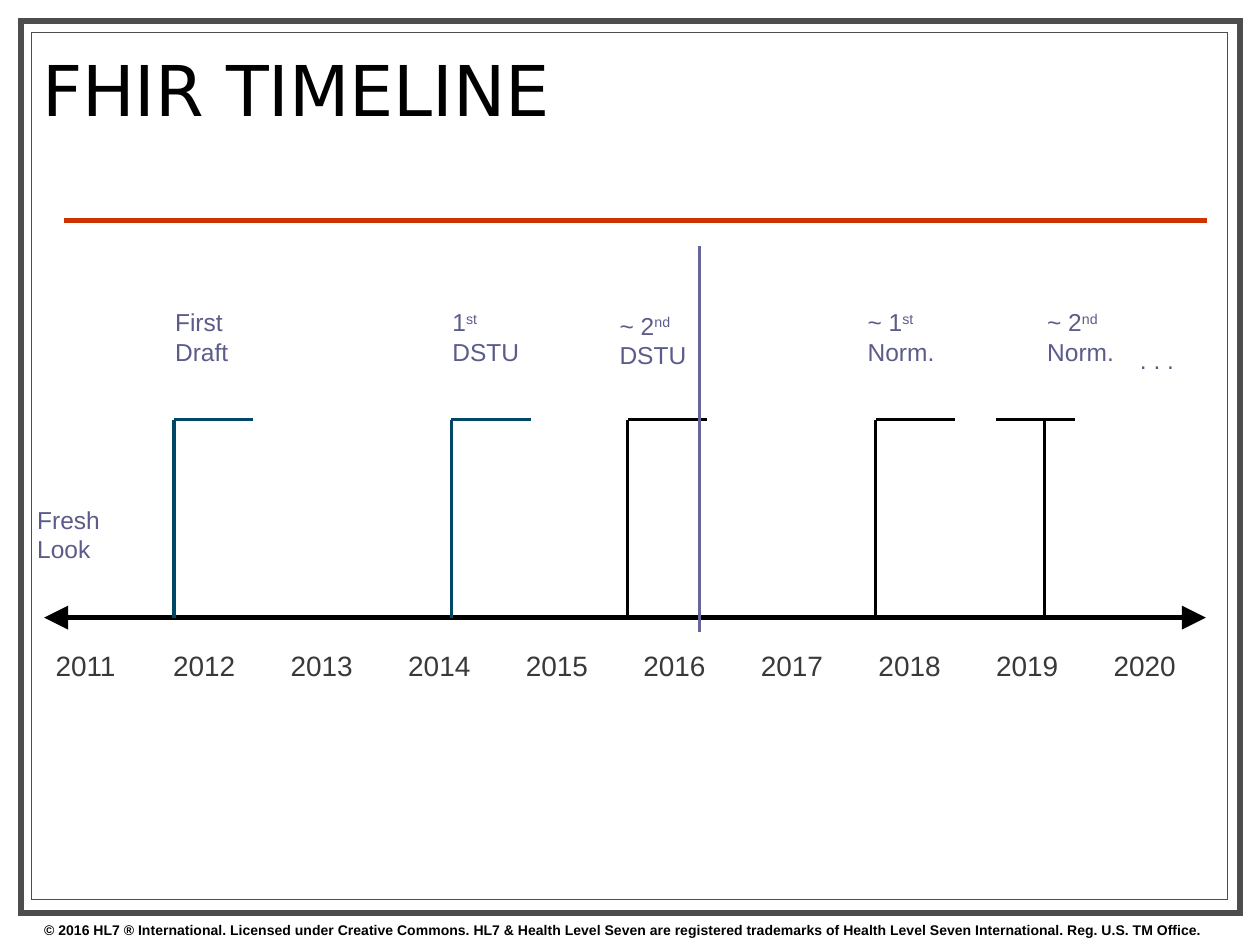
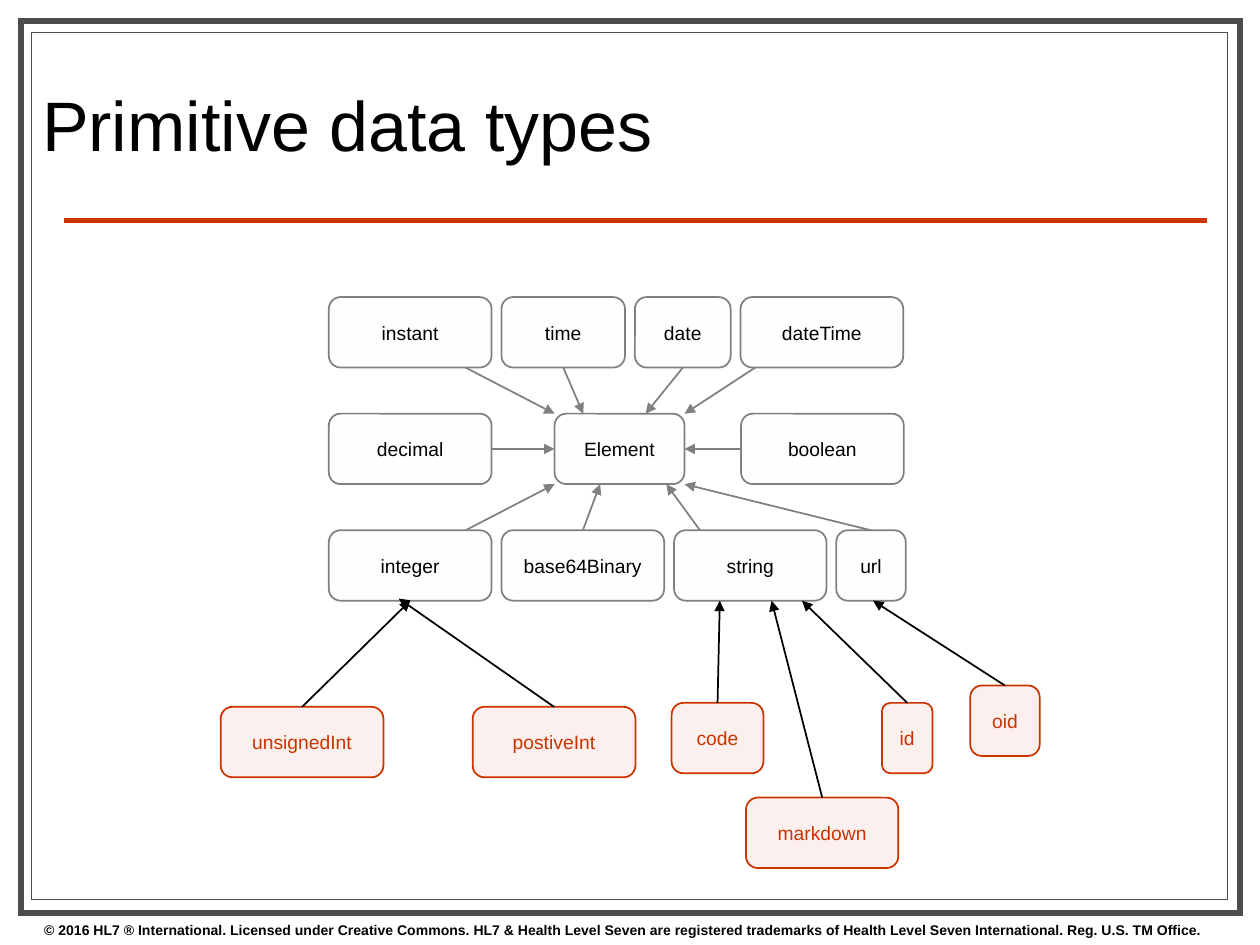
"""Build two slides: a release timeline and a tree of primitive data types."""
from lxml import etree
from pptx import Presentation
from pptx import util as u
from pptx.dml.color import RGBColor
from pptx.enum import shapes, text
from pptx.oxml.ns import qn

BLACK, WHITE, FRAME, RED = "000000", "FFFFFF", "4D4D4D", "CC3300"
TEAL, LABEL, NOW, YEAR, GREY, PALE = "004866", "5C5C8A", "666699", "3A393A", "808080", "F2F2F2"
SANS, TITLE_SANS = "Arial", "DejaVu Sans"

FOOTER = ("© 2016 HL7 ® International. Licensed under Creative Commons. HL7 & Health Level Seven "
          "are registered trademarks of Health Level Seven International. Reg. U.S. TM Office.")
FRAMES = [((0.43, 0.43, 24.56, 17.98), 3.5), ((0.64, 0.66, 24.1, 17.48), 0.75)]

YEARS = range(2011, 2021)
YEAR_LEFT, YEAR_STEP = 0.87, 2.37
AXIS_Y, FLAG_Y, FLAG_WIDTH = 12.45, 8.46, 1.6
NOW_X = 14.1
MILESTONES = [
    {"lines": [("First", ""), ("Draft", "")], "at": (3.28, 6.07), "pole": 3.51, "flag": 3.51, "color": TEAL},
    {"lines": [("1", "st"), ("DSTU", "")], "at": (8.87, 6.07), "pole": 9.1, "flag": 9.1, "color": TEAL},
    {"lines": [("~ 2", "nd"), ("DSTU", "")], "at": (12.24, 6.14), "pole": 12.65, "flag": 12.65, "color": BLACK},
    {"lines": [("~ 1", "st"), ("Norm.", "")], "at": (17.24, 6.07), "pole": 17.65, "flag": 17.65, "color": BLACK},
    {"lines": [("~ 2", "nd"), ("Norm.", "")], "at": (20.86, 6.07), "pole": 21.06, "flag": 20.08, "color": BLACK},
]
SIDE_NOTES = [
    ([(". . .", "")], (22.73, 6.83, 1.19, 0.86)),
    ([("Fresh", ""), ("Look", "")], (0.5, 10.05, 1.78, 1.45)),
]

TYPE_LEFT, TYPE_TOP, ROW_STEP, TYPE_HEIGHT = 6.63, 5.99, 2.35, 1.42
BASE_ROWS = [
    [("instant", 0, 3.28), ("time", 0.2, 2.49), ("date", 0.2, 1.93), ("dateTime", 0.2, 3.28)],
    [("decimal", 0, 3.28), ("Element", 1.27, 2.62), ("boolean", 1.14, 3.28)],
    [("integer", 0, 3.28), ("base64Binary", 0.2, 3.28), ("string", 0.2, 3.07), ("url", 0.2, 1.4)],
]
DERIVED = [
    ("unsignedInt", 4.45, 14.25, 3.28),
    ("postiveInt", 9.53, 14.25, 3.28),
    ("code", 13.54, 14.17, 1.85),
    ("id", 17.78, 14.17, 1.02),
    ("oid", 19.56, 13.82, 1.4),
    ("markdown", 15.04, 16.08, 3.07),
]
BASE_ARROWS = [
    ("decimal", (1, 0.5), (0, 0.5)),
    ("boolean", (0, 0.5), (1, 0.5)),
    ("integer", (0.84, 0), (0, 1)),
    ("string", (0.17, 0), (0.86, 1)),
    ("base64Binary", (0.5, 0), (0.35, 1)),
    ("url", (0.5, 0), (1, 1)),
    ("instant", (0.84, 1), (0, 0)),
    ("time", (0.5, 1), (0.22, 0)),
    ("date", (0.5, 1), (0.7, 0)),
    ("dateTime", (0.09, 1), (1, 0)),
]
DERIVED_ARROWS = [
    ("unsignedInt", "integer", (0.5, 1)),
    ("postiveInt", "integer", (0.43, 0.97)),
    ("code", "string", (0.3, 1)),
    ("id", "string", (0.84, 1)),
    ("markdown", "string", (0.64, 1)),
    ("oid", "url", (0.53, 1)),
]


def rgb(color):
    return RGBColor.from_string(color)


def cm(values):
    return [u.Cm(value) for value in values]


def style(paragraph, size, color, font=SANS, bold=False):
    paragraph.font.name = font
    paragraph.font.size = u.Pt(size)
    paragraph.font.bold = bold
    paragraph.font.color.rgb = rgb(color)


def add_text(page, place, lines, size, color, font=SANS, bold=False, wrap=False):
    box = page.shapes.add_textbox(*cm(place))
    frame = box.text_frame
    frame.word_wrap = wrap
    for index, (plain, raised) in enumerate(lines):
        para = frame.add_paragraph() if index else frame.paragraphs[0]
        para.add_run().text = plain
        if raised:
            span = para.add_run()
            span.text = raised
            span._r.get_or_add_rPr().set("baseline", "30000")
        style(para, size, color, font, bold)
    return frame


def add_line(page, start, end, color, width, ends=(), head_size="med"):
    line = page.shapes.add_connector(shapes.MSO_CONNECTOR.STRAIGHT, *cm(start + end))
    line.line.color.rgb = rgb(color)
    line.line.width = u.Pt(width)
    properties = line._element.spPr
    for tag in ends:
        etree.SubElement(properties.find(qn("a:ln")), qn(tag), type="triangle", w=head_size, len=head_size)
    etree.SubElement(properties, qn("a:effectLst"))


def add_box(page, kind, place, fill, line, width):
    box = page.shapes.add_shape(kind, *cm(place))
    box.shadow.inherit = False
    box.fill.solid()
    box.fill.fore_color.rgb = rgb(fill)
    box.line.color.rgb = rgb(line)
    box.line.width = u.Pt(width)
    return box


def add_page(deck, title, place, font):
    page = deck.slides.add_slide(deck.slide_layouts[6])
    for frame_place, width in FRAMES:
        border = add_box(page, shapes.MSO_SHAPE.RECTANGLE, frame_place, WHITE, FRAME, width)
        etree.SubElement(border._element.spPr.find(qn("a:ln")), qn("a:miter"), lim="800000")
    add_line(page, (1.3, 4.45), (24.33, 4.45), RED, 3)
    add_text(page, (0.64, 18.45, 25.4, 0.58), [(FOOTER, "")], 8, BLACK, bold=True, wrap=True)
    frame = add_text(page, place, [(title, "")], 40, BLACK, font, wrap=True)
    frame.margin_left = frame.margin_right = frame.margin_top = frame.margin_bottom = 0
    frame.vertical_anchor = text.MSO_ANCHOR.MIDDLE
    frame.paragraphs[0].line_spacing = 0.8
    return page


def add_timeline(deck):
    page = add_page(deck, "FHIR TIMELINE", (0.85, 1.07, 22.73, 1.75), TITLE_SANS)
    add_line(page, (0.89, AXIS_Y), (24.31, AXIS_Y), BLACK, 2.75, ("a:headEnd", "a:tailEnd"), "lg")
    for index, year in enumerate(YEARS):
        add_text(page, (YEAR_LEFT + index * YEAR_STEP, 12.95, 1.78, 0.94), [(str(year), "")], 16, YEAR)
    for milestone in MILESTONES:
        pole, flag, color = milestone["pole"], milestone["flag"], milestone["color"]
        add_line(page, (pole, FLAG_Y), (pole, AXIS_Y), color, 2)
        add_line(page, (flag, FLAG_Y), (flag + FLAG_WIDTH, FLAG_Y), color, 2)
        add_text(page, milestone["at"] + (1.88, 1.45), milestone["lines"], 14, LABEL)
    for lines, place in SIDE_NOTES:
        add_text(page, place, lines, 14, LABEL)
    add_line(page, (NOW_X, 4.95), (NOW_X, 12.75), NOW, 2)


def add_type(page, name, place, fill, line, color):
    box = add_box(page, shapes.MSO_SHAPE.ROUNDED_RECTANGLE, place, fill, line, 1)
    etree.SubElement(box._element.spPr.find(qn("a:solidFill"))[0], qn("a:alpha"), val="7000")
    frame = box.text_frame
    frame.word_wrap = False
    frame.vertical_anchor = text.MSO_ANCHOR.MIDDLE
    para = frame.paragraphs[0]
    para.text = name
    para.alignment = text.PP_ALIGN.CENTER
    style(para, 11, color)


def point_on(place, share):
    left, top, width, height = place
    return left + share[0] * width, top + share[1] * height


def add_data_types(deck):
    page = add_page(deck, "Primitive data types", (0.85, 1.9, 22.8, 1.5), SANS)
    places = {}
    for index, row in enumerate(BASE_ROWS):
        left = TYPE_LEFT
        for name, gap, width in row:
            left += gap
            places[name] = (left, TYPE_TOP + index * ROW_STEP, width, TYPE_HEIGHT)
            add_type(page, name, places[name], PALE, GREY, BLACK)
            left += width
    for name, left, top, width in DERIVED:
        places[name] = (left, top, width, TYPE_HEIGHT)
        add_type(page, name, places[name], RED, RED, RED)
    arrows = [(child, start, "Element", end, GREY) for child, start, end in BASE_ARROWS]
    arrows += [(child, (0.5, 0), parent, end, BLACK) for child, parent, end in DERIVED_ARROWS]
    for child, start, parent, end, color in arrows:
        add_line(page, point_on(places[child], start), point_on(places[parent], end), color, 1, ["a:tailEnd"])


def main():
    deck = Presentation()
    deck.slide_width, deck.slide_height = cm((25.4, 19.05))
    add_timeline(deck)
    add_data_types(deck)
    deck.save("out.pptx")


if __name__ == "__main__":
    main()
